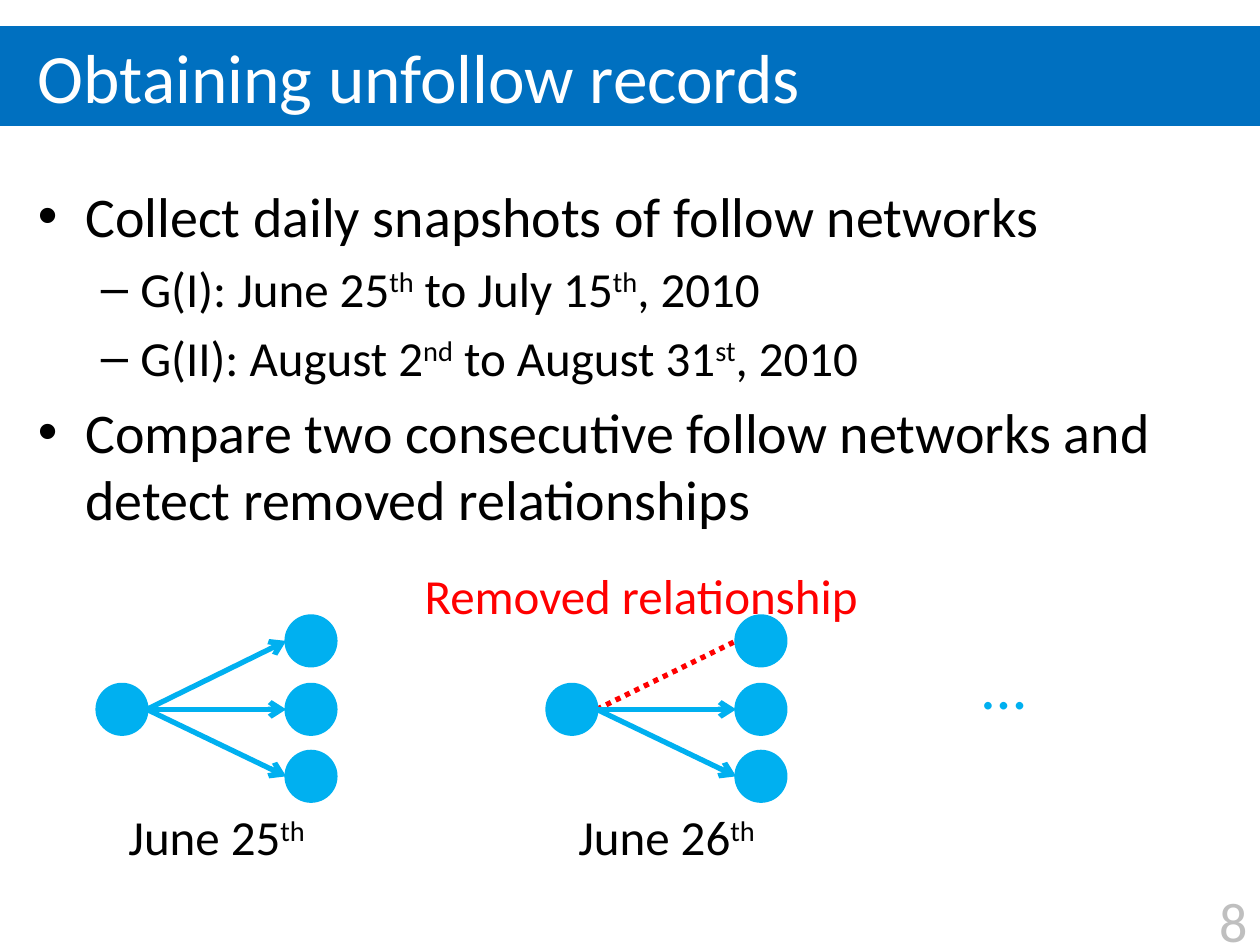
"""Build the slide on obtaining unfollow records."""
from lxml.etree import SubElement as Sub
from pptx import Presentation
from pptx.dml.color import RGBColor as Rgb
from pptx.enum.dml import MSO_LINE as Dash
from pptx.enum.shapes import MSO_CONNECTOR as Link, MSO_SHAPE as Shape
from pptx.enum.text import MSO_ANCHOR as Anchor, MSO_AUTO_SIZE as Fit, PP_ALIGN as Align
from pptx.oxml.ns import qn
from pptx.util import Cm, Pt

HUE = {"bar": "0070C0", "node": "00B0F0", "cut": "FF0000",
       "text": "000000", "page": "BFBFBF", "white": "FFFFFF"}
DIA, STEP = 1, 3.81
ROWS = (12.92, 14.3, 15.65)
LIST = [
    (0, "Collect daily snapshots of follow networks"),
    (1, "G(I): June 25^th^ to July 15^th^, 2010"),
    (1, "G(II): August 2^nd^ to August 31^st^, 2010"),
    (0, "Compare two consecutive follow networks and detect removed relationships"),
]


def color(name):
    return Rgb.from_string(HUE[name])


def place(shape, *rect):
    shape.left, shape.top, shape.width, shape.height = map(Cm, rect)


def write(para, text, size, hue):
    """Fill a paragraph; parts between carets are raised."""
    font = para.font
    font.name, font.size = "Calibri", Pt(size)
    font.color.rgb = color(hue)
    for i, part in enumerate(text.split("^")):
        run = para.add_run()
        run.text = part
        if i % 2:
            run._r.get_or_add_rPr().set("baseline", "30000")


def label(slide, rect, text, size, hue):
    frame = slide.shapes.add_textbox(*map(Cm, rect)).text_frame
    frame.word_wrap = False
    frame.auto_size = Fit.SHAPE_TO_FIT_TEXT
    write(frame.paragraphs[0], text, size, hue)
    return frame


def solid(slide, kind, rect, hue):
    shape = slide.shapes.add_shape(kind, *map(Cm, rect))
    shape.shadow.inherit = False
    shape.fill.solid()
    shape.fill.fore_color.rgb = color(hue)
    shape.line.fill.background()
    return shape


def node(slide, x, y):
    dot = solid(slide, Shape.OVAL, (x, y - DIA / 2, DIA, DIA), "node")
    dot.line.color.rgb = color("node")
    dot.line.width = Pt(2)


def edge(slide, x, y, end, cut):
    ends = (x + DIA, y, x + STEP, end)
    link = slide.shapes.add_connector(Link.STRAIGHT, *map(Cm, ends))
    link.line.width = Pt(3)
    link.line.color.rgb = color("cut" if cut else "node")
    if cut:
        link.line.dash_style = Dash.ROUND_DOT
    else:
        Sub(link.line._get_or_add_ln(), qn("a:tailEnd"), type="arrow")
    Sub(link._element.spPr, qn("a:effectLst"))


def net(slide, x, day, cut=None):
    """Draw one snapshot, with the edge in row cut removed."""
    mid = ROWS[1]
    for i, y in enumerate(ROWS):
        edge(slide, x, mid, y, i == cut)
        node(slide, x + STEP, y)
    node(slide, x, mid)
    label(slide, (x + 0.38, 16.14, 4.42, 1.45), day, 28, "text")


def head(slide):
    bar = solid(slide, Shape.RECTANGLE, (0, 0.53, 25.4, 2.01), "bar")
    slide.shapes._spTree.insert(2, bar._element)
    title = slide.shapes.title
    place(title, 0.51, 0.53, 24.21, 2.01)
    title.text_frame.vertical_anchor = Anchor.MIDDLE
    para = title.text_frame.paragraphs[0]
    para.alignment = Align.LEFT
    write(para, "Obtaining unfollow records", 39.6, "white")


def body(slide):
    hold = slide.placeholders[1]
    place(hold, 0.51, 3.53, 24.21, 13.41)
    frame = hold.text_frame
    for i, (level, text) in enumerate(LIST):
        para = frame.add_paragraph() if i else frame.paragraphs[0]
        para.level = level
        write(para, text, 28 if level else 32, "text")


def page(slide):
    frame = label(slide, (19.48, 18.03, 5.92, 1.02), "8", 32, "page")
    frame.word_wrap = True
    frame.auto_size = Fit.NONE
    frame.vertical_anchor = Anchor.MIDDLE
    frame.paragraphs[0].alignment = Align.RIGHT


def main():
    deck = Presentation()
    deck.slide_width, deck.slide_height = Cm(25.4), Cm(19.05)
    slide = deck.slides.add_slide(deck.slide_layouts[1])
    head(slide)
    body(slide)
    page(slide)
    net(slide, 1.96, "June 25^th^")
    net(slide, 11.03, "June 26^th^", cut=0)
    label(slide, (19.56, 12.9, 1.4, 1.8), "…", 36, "node")
    label(slide, (8.31, 11.28, 9.35, 1.45), "Removed relationship", 28, "cut")
    deck.save("out.pptx")


if __name__ == "__main__":
    main()
